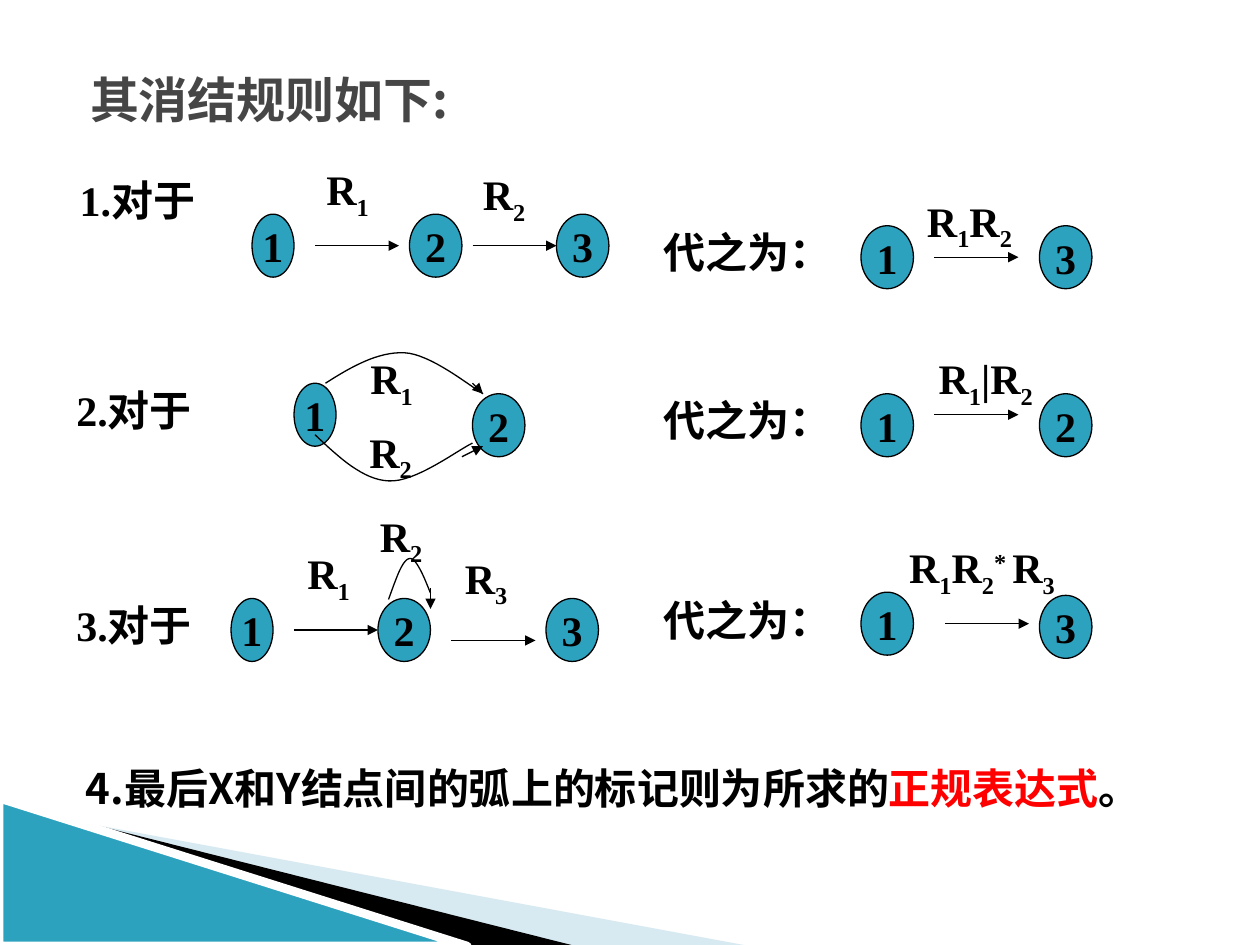
from lxml import etree
from pptx import Presentation
from pptx import util as u
from pptx.dml.color import RGBColor
from pptx.enum import shapes, text
from pptx.oxml.ns import qn

PX = 7620  # 120 px to the inch
COLORS = {"node": "2DA2BF", "pale": "9FCBDC", "ink": "000000",
          "title": "464646", "key": "FF0000", "paper": "FFFFFF"}
RGB = {name: RGBColor.from_string(value) for name, value in COLORS.items()}
SERIF, SANS = "Times New Roman", "Noto Sans CJK SC"
BASELINES = {"_": "-25000", "^": "30000"}


def write(paragraph, parts, face=SERIF, size=24, color="ink"):
    """Add runs; a leading _ or ^ lowers or raises one, a tuple names its colour."""
    for part in parts:
        words, tint = part if isinstance(part, tuple) else (part, color)
        run = paragraph.add_run()
        run.text = words.lstrip("_^")
        look = {"name": face, "size": u.Pt(size), "bold": True}
        for key, value in look.items():
            setattr(run.font, key, value)
        run.font.color.rgb = RGB[tint]
        properties = run.font._element
        etree.SubElement(properties, qn("a:ea"), typeface=SANS)
        if words[0] in BASELINES:
            properties.set("baseline", BASELINES[words[0]])


def outline(points, close):
    """Draw a freeform in EMU, so that fractions of a px are kept."""
    emu = [(round(x * PX), round(y * PX)) for x, y in points]
    builder = slide.shapes.build_freeform(*emu[0], scale=1.0)
    builder.add_line_segments(emu[1:], close=close)
    shape = builder.convert_to_shape()
    shape.shadow.inherit = False
    return shape


prs = Presentation()
prs.slide_width, prs.slide_height = 1200 * PX, 900 * PX
slide = prs.slides.add_slide(prs.slide_layouts[6])

# Corner decoration
wedges = [("pale", [(66, 781), (714, 901), (547, 901), (66, 780)]),
          ("ink", [(64, 779), (548, 901), (446, 902), (65, 780)])]
for color, corners in wedges:
    wedge = outline(corners, True)
    wedge.fill.solid()
    wedge.fill.fore_color.rgb = RGB[color]
    wedge.line.fill.background()
    if color == "pale":
        tone = wedge._element.spPr.find(".//" + qn("a:srgbClr"))
        etree.SubElement(tone, qn("a:alpha"), val="40000")

corner = slide.shapes.add_shape(shapes.MSO_SHAPE.RIGHT_TRIANGLE,
                                -1 * PX, 760 * PX, 446 * PX, 141 * PX)
corner.shadow.inherit = False
corner.fill.solid()
corner.fill.fore_color.rgb = RGB["node"]
corner.line.color.rgb = RGB["paper"]
corner.line.width = u.Pt(5)

# Title
title = slide.shapes.add_textbox(60 * PX, 60 * PX, 940 * PX, 80 * PX).text_frame
title.word_wrap = True
heading = title.paragraphs[0]
for key, length in {"marL": 48, "indent": -34}.items():
    heading._p.get_or_add_pPr().set(key, str(length * PX))
write(heading, ["其消结规则如下:"], SANS, 28, "title")

# States: left, top, width, name
states = [
    (240, 204, 40, "1"), (390, 204, 50, "2"), (530, 204, 50, "3"),
    (820, 215, 50, "1"), (990, 215, 50, "3"),
    (280, 365, 40, "1"), (450, 375, 50, "2"),
    (820, 375, 50, "1"), (990, 375, 50, "2"),
    (220, 570, 40, "1"), (360, 570, 50, "2"), (520, 570, 50, "3"),
    (820, 564, 50, "1"), (990, 567, 50, "3"),
]
for left, top, width, name in states:
    state = slide.shapes.add_shape(shapes.MSO_SHAPE.OVAL,
                                   left * PX, top * PX, width * PX, 60 * PX)
    state.shadow.inherit = False
    state.fill.solid()
    state.fill.fore_color.rgb = RGB["node"]
    state.line.color.rgb = RGB["ink"]
    state.line.width = u.Pt(0.75)
    state.text_frame.word_wrap = False
    state.text_frame.vertical_anchor = text.MSO_ANCHOR.MIDDLE
    state.text_frame.paragraphs[0].alignment = text.PP_ALIGN.CENTER
    write(state.text_frame.paragraphs[0], [name])

# Curved arcs: cubic control points, each third one lying on the curve
arcs = [
    [(310, 365), (335, 349), (360, 335), (385, 336), (410, 337), (448, 368), (460, 375)],
    [(300, 414), (323, 436), (346, 457), (370, 458), (395, 460), (437, 428), (450, 422)],
    [(370, 571), (377, 552), (383, 533), (390, 532), (397, 530), (407, 558), (410, 565)],
]
STEPS = 16
for controls in arcs:
    track = [controls[0]]
    for start in range(0, len(controls) - 1, 3):
        a, b, c, d = controls[start:start + 4]
        for step in range(1, STEPS + 1):
            t = step / STEPS
            weights = ((1 - t) ** 3, 3 * t * (1 - t) ** 2, 3 * t * t * (1 - t), t ** 3)
            track.append(tuple(sum(w * p[axis] for w, p in zip(weights, (a, b, c, d)))
                               for axis in (0, 1)))
    arc = outline(track, False)
    arc.fill.background()
    arc.line.color.rgb = RGB["ink"]
    arc.line.width = u.Pt(0.75)

# Straight arrows, and the short ones that tip the curved arcs
arrows = [(left, y, left + 80, y) for left, y in
          [(300, 234), (450, 234), (890, 245), (890, 395),
           (280, 600), (430, 610), (900, 594)]]
arrows += [(450, 365, 460, 375), (440, 435, 460, 425), (410, 560, 410, 580)]
for ends in arrows:
    arrow = slide.shapes.add_connector(shapes.MSO_CONNECTOR.STRAIGHT,
                                       *(end * PX for end in ends))
    arrow.line.color.rgb = RGB["ink"]
    arrow.line.width = u.Pt(0.75)
    etree.SubElement(arrow.line._get_or_add_ln(), qn("a:tailEnd"), type="triangle")
    etree.SubElement(arrow._element.spPr, qn("a:effectLst"))

# Labels: left, top, width, height, wraps, parts
labels = [
    (299, 150, 65, 67, False, ["R", "_1"]),
    (448, 155, 73, 67, True, ["R", "_2"]),
    (871, 180, 109, 67, True, ["R", "_1", "R", "_2"]),
    (341, 330, 65, 67, False, ["R", "_1"]),
    (340, 400, 73, 67, True, ["R", "_2"]),
    (882, 330, 114, 67, False, ["R", "_1", "|R", "_2"]),
    (281, 516, 65, 67, False, ["R", "_1"]),
    (350, 480, 73, 67, True, ["R", "_2"]),
    (431, 520, 65, 67, False, ["R", "_3"]),
    (854, 510, 180, 67, True, ["R", "_1", "R", "_2", "^* ", "R", "_3"]),
]
labels += [(left, top, 160, 60, True, [f"{number}.对于"]) for number, (left, top) in
           enumerate([(64, 160), (61, 360), (61, 565)], 1)]
labels += [(620, top, 184, 60, False, ["代之为："]) for top in (210, 370, 560)]
for left, top, width, height, wraps, parts in labels:
    label = slide.shapes.add_textbox(left * PX, top * PX, width * PX, height * PX)
    label.text_frame.word_wrap = wraps
    label.text_frame.auto_size = text.MSO_AUTO_SIZE.SHAPE_TO_FIT_TEXT
    write(label.text_frame.paragraphs[0], parts)

# Closing rule
closing = slide.shapes.add_textbox(70 * PX, 720 * PX, 1030 * PX, 108 * PX).text_frame
closing.word_wrap = True
write(closing.paragraphs[0],
      ["4.最后X和Y结点间的弧上的标记则为所求的", ("正规表达式", "key"), "。"], SANS)

prs.save("out.pptx")
